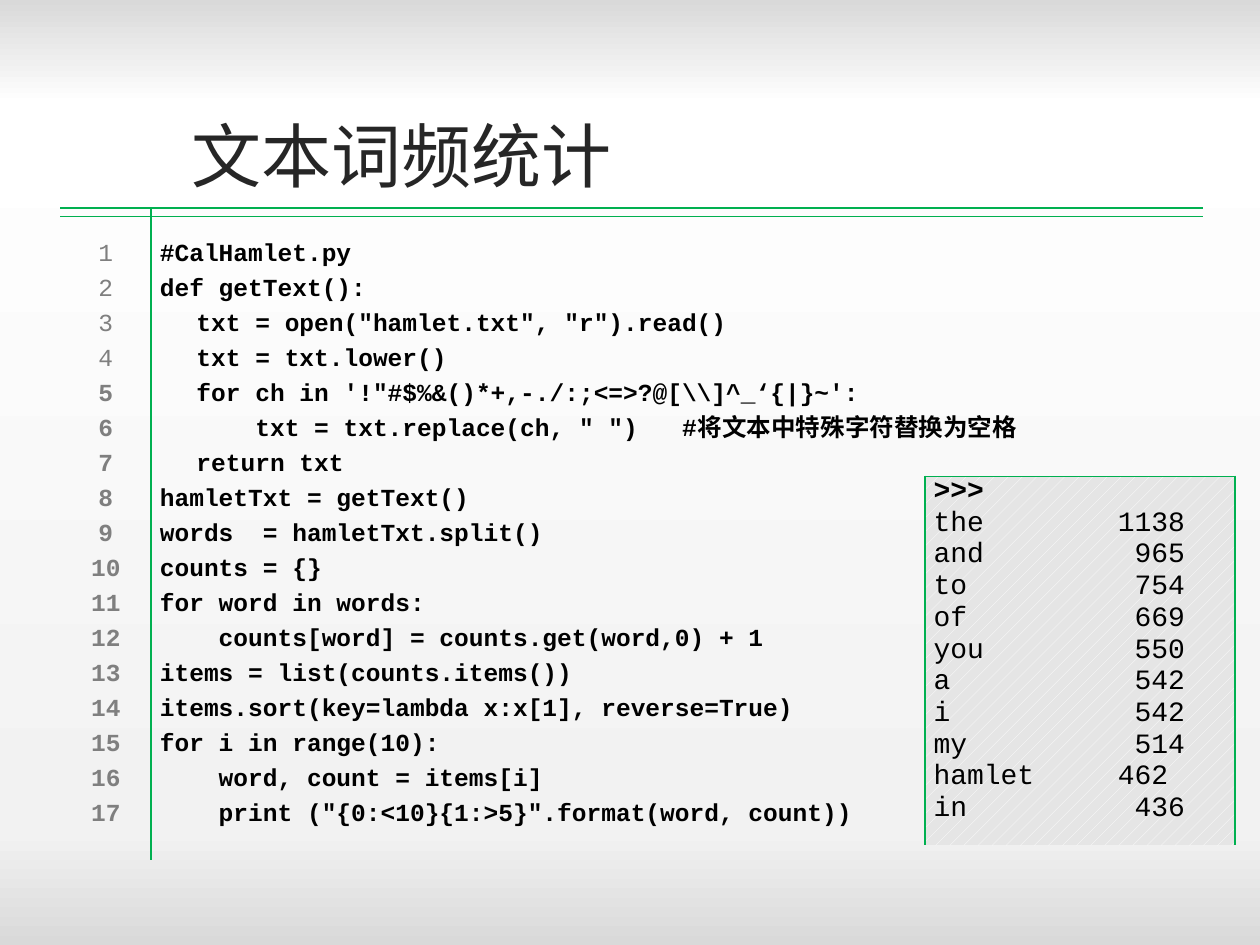
import lxml.etree
import pptx
import pptx.dml.color
import pptx.enum.dml
import pptx.enum.text
import pptx.oxml.ns
import pptx.util

Inches = pptx.util.Inches
Pt = pptx.util.Pt
RGBColor = pptx.dml.color.RGBColor
ALIGN = pptx.enum.text.PP_ALIGN
MIDDLE = pptx.enum.text.MSO_ANCHOR.MIDDLE

GREEN = RGBColor(0x00, 0xB0, 0x50)
BLACK = RGBColor(0x00, 0x00, 0x00)
WHITE = RGBColor(0xFF, 0xFF, 0xFF)
DARK = RGBColor(0x26, 0x26, 0x26)
GRAY = RGBColor(0x7F, 0x7F, 0x7F)
SILVER = RGBColor(0xD9, 0xD9, 0xD9)
PALE = RGBColor(0xF2, 0xF2, 0xF2)
PANEL = RGBColor(0xE5, 0xE5, 0xE5)
BACKGROUND_STOPS = [(0, SILVER), (11, WHITE), (88, PALE), (100, SILVER)]

CODE_FONT = "Courier New"
CHINESE_FONT = "Noto Sans CJK SC"
PLAIN_TABLE_STYLE = "{2D5ABB26-0587-4C30-8999-92F81FD0307C}"

CODE = r'''#CalHamlet.py
def getText():
txt = open("hamlet.txt", "r").read()
txt = txt.lower()
for ch in '!"#$%&()*+,-./:;<=>?@[\\]^_‘{|}~':
    txt = txt.replace(ch, " ")   #将文本中特殊字符替换为空格
return txt
hamletTxt = getText()
words  = hamletTxt.split()
counts = {}
for word in words:
    counts[word] = counts.get(word,0) + 1
items = list(counts.items())
items.sort(key=lambda x:x[1], reverse=True)
for i in range(10):
    word, count = items[i]
    print ("{0:<10}{1:>5}".format(word, count))'''.split("\n")
FUNCTION_BODY = range(3, 8)
FIRST_BOLD_NUMBER = 5

COUNTS = [("the", "1138"), ("and", "965"), ("to", "754"), ("of", "669"),
          ("you", "550"), ("a", "542"), ("i", "542"), ("my", "514"),
          ("hamlet", "462 "), ("in", "436")]


def add_element(parent, tag, **attributes):
    """Append a DrawingML element to its parent."""
    return lxml.etree.SubElement(parent, pptx.oxml.ns.qn(tag), **attributes)


def add_line(frame, text, size=14, font=CODE_FONT, color=BLACK, bold=False,
             align=ALIGN.LEFT, spacing=None, indent=0):
    """Write one paragraph into a text frame, using the empty one first."""
    para = frame.add_paragraph() if frame.text else frame.paragraphs[0]
    para.alignment = align
    if spacing:
        para.line_spacing = Pt(spacing)
    if indent:
        para._p.get_or_add_pPr().set("indent", str(Inches(indent)))
    span = para.add_run()
    span.text = text
    span.font.size = Pt(size)
    span.font.name = font
    span.font.bold = bold
    span.font.color.rgb = color
    add_element(span._r.get_or_add_rPr(), "a:ea", typeface=CHINESE_FONT)


def add_plain_table(page, box, widths, heights):
    """Add an unstyled table whose cells have tight margins."""
    frame = page.shapes.add_table(len(heights), len(widths), *map(Inches, box))
    table = frame.table
    table.first_row = table.horz_banding = False
    style = table._tbl.tblPr.find(pptx.oxml.ns.qn("a:tableStyleId"))
    style.text = PLAIN_TABLE_STYLE
    for column, width in zip(table.columns, widths):
        column.width = Inches(width)
    for row, height in zip(table.rows, heights):
        row.height = Inches(height)
    for cell in table.iter_cells():
        cell.margin_left = cell.margin_right = Inches(0.07)
        cell.margin_top = cell.margin_bottom = 0
    return table


def set_borders(cell, sides):
    """Draw green borders on the sides named by letters in LRTB order."""
    for side in sides:
        line = add_element(cell._tc.get_or_add_tcPr(), f"a:ln{side}", w=str(Pt(1)))
        fill = add_element(line, "a:solidFill")
        add_element(fill, "a:srgbClr", val=str(GREEN))


def paint_background(page):
    """Fill the page with a vertical gray gradient."""
    fill = page.background.fill
    fill.gradient()
    fill.gradient_angle = 270
    stops = page._element.find(".//" + pptx.oxml.ns.qn("a:gsLst"))
    for stop in list(stops):
        stops.remove(stop)
    for percent, color in BACKGROUND_STOPS:
        stop = add_element(stops, "a:gs", pos=str(percent * 1000))
        add_element(stop, "a:srgbClr", val=str(color))


def place_title(page, box, text):
    """Move the title placeholder to its box and write the title."""
    title = page.shapes.title
    title.left, title.top, title.width, title.height = map(Inches, box)
    title.text_frame.vertical_anchor = MIDDLE
    add_line(title.text_frame, text, size=40, font=CHINESE_FONT, color=DARK)


def place_listing(page, box):
    """Place the numbered code listing with its green rules."""
    table = add_plain_table(page, box, [0.72, 0.35, 3.79, 4.21],
                            [0.43, 0.07, 4.99, 0.12])
    table.cell(0, 0).merge(table.cell(0, 1))
    for row in range(1, 4):
        table.cell(row, 1).merge(table.cell(row, 3))
    for column in range(4):
        set_borders(table.cell(0, column), "B")
    for row in range(1, 4):
        top = "T" if row == 1 else ""
        set_borders(table.cell(row, 0), "R" + top)
        set_borders(table.cell(row, 1), "L" + top)
    for column in range(2, 4):
        set_borders(table.cell(1, column), "T")

    numbers, code = table.cell(2, 0), table.cell(2, 1)
    numbers.vertical_anchor = code.vertical_anchor = MIDDLE
    for number, text in enumerate(CODE, 1):
        add_line(numbers.text_frame, str(number), color=GRAY, spacing=20,
                 bold=number >= FIRST_BOLD_NUMBER, align=ALIGN.CENTER)
        add_line(code.text_frame, text, bold=True, spacing=20, align=ALIGN.JUSTIFY,
                 indent=0.29 if number in FUNCTION_BODY else 0)
    for cell in table.iter_cells():
        if not cell.text_frame.text:
            add_element(cell.text_frame.paragraphs[0]._p, "a:endParaRPr", sz="100")


def place_output(page, box):
    """Place the shaded panel with the program output."""
    cell = add_plain_table(page, box, [box[2]], [box[3]]).cell(0, 0)
    set_borders(cell, "LRT")
    cell.fill.patterned()
    cell.fill.pattern = pptx.enum.dml.MSO_PATTERN.PERCENT_10
    cell.fill.fore_color.rgb = WHITE
    cell.fill.back_color.rgb = PANEL
    add_line(cell.text_frame, ">>>", size=16, bold=True)
    for word, count in COUNTS:
        add_line(cell.text_frame, f"{word:<10}{count:>5}".rstrip(), size=16)


def main():
    """Build the deck and save it."""
    deck = pptx.Presentation()
    deck.slide_width, deck.slide_height = Inches(10), Inches(7.5)
    page = deck.slides.add_slide(deck.slide_layouts[5])
    paint_background(page)
    place_listing(page, (0.48, 1.22, 9.07, 5.61))
    place_title(page, (1.42, 0.84, 7.84, 0.77), "文本词频统计")
    place_output(page, (7.34, 3.78, 2.46, 2.93))
    deck.save("out.pptx")


if __name__ == "__main__":
    main()
